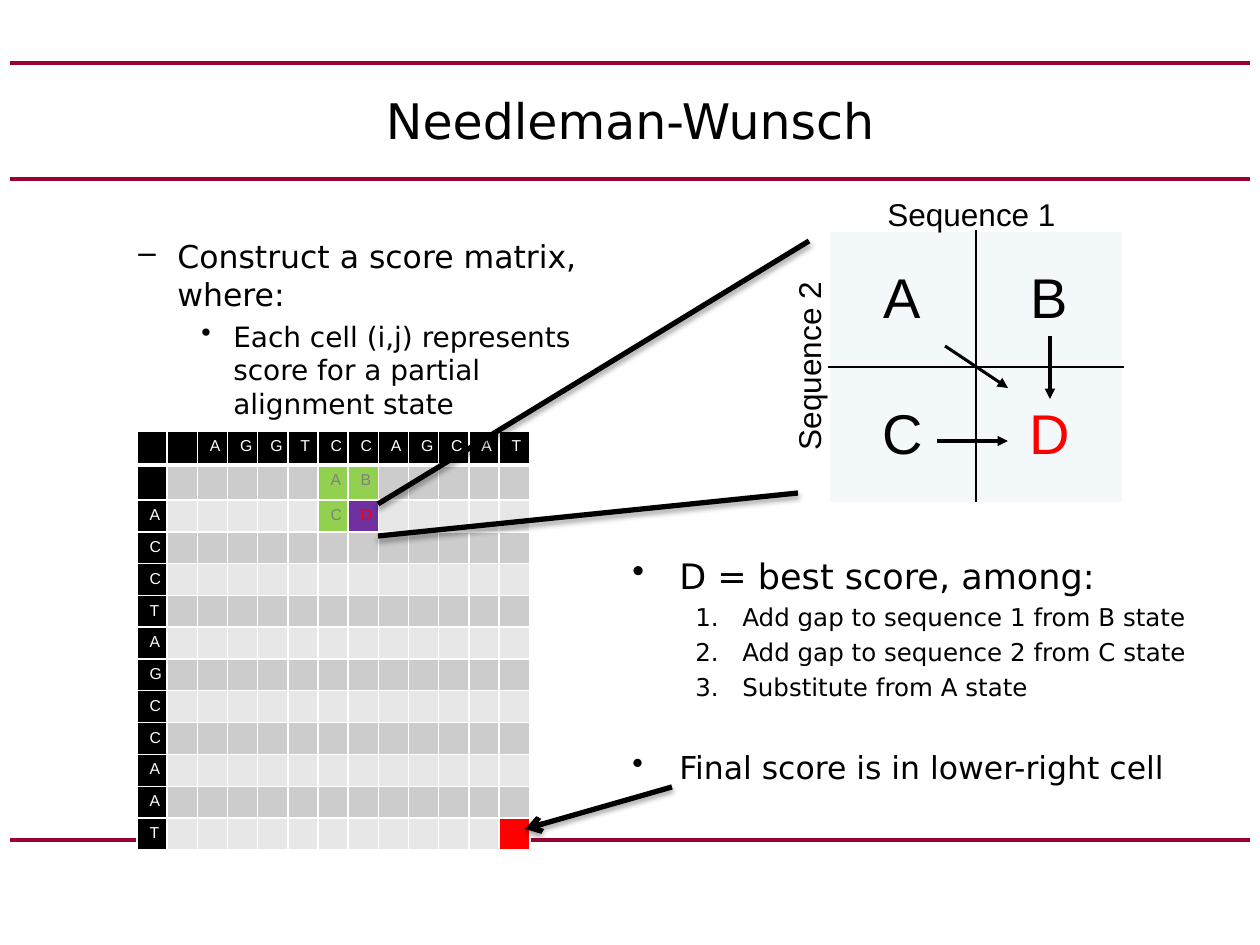
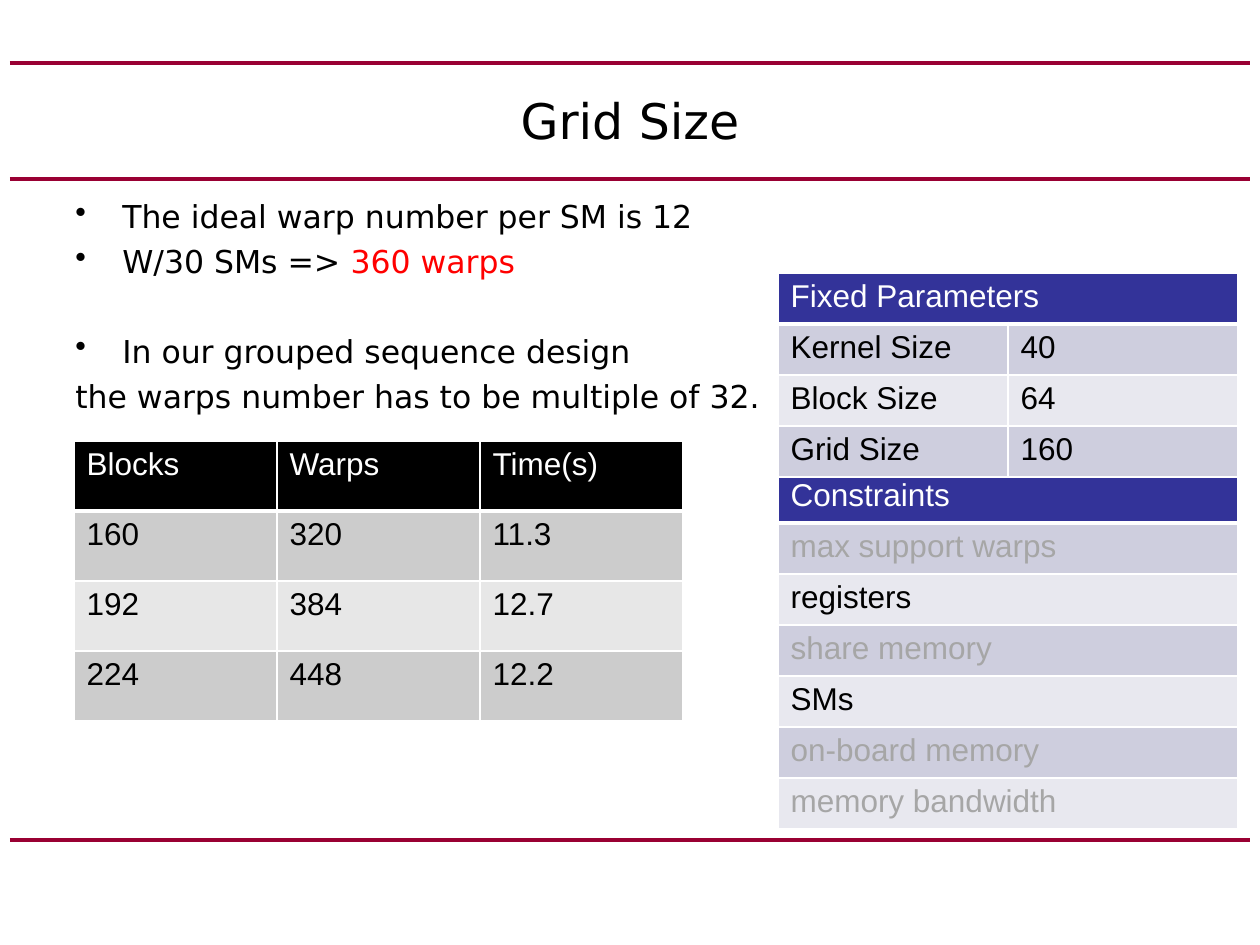
from lxml import etree
from pptx import Presentation
from pptx.dml.color import RGBColor
from pptx.enum.shapes import MSO_CONNECTOR
from pptx.enum.text import MSO_ANCHOR, PP_ALIGN
from pptx.oxml.ns import qn
from pptx.util import Pt

PX = 914400 / 126
STRAIGHT = MSO_CONNECTOR.STRAIGHT
LEFT, CENTER = PP_ALIGN.LEFT, PP_ALIGN.CENTER
TOP, MIDDLE = MSO_ANCHOR.TOP, MSO_ANCHOR.MIDDLE
SANS, ARIAL = "DejaVu Sans", "Arial"
HEX = {
    "black": "000000", "white": "FFFFFF", "rule": "990033", "red": "FF0000",
    "dark": "CCCCCC", "light": "E7E7E7", "green": "92D050", "purple": "7030A0",
    "gray": "808080", "faded": "A6A6A6", "mint": "F3F9FA",
    "navy": "333399", "lilac": "CECEDE", "pale": "E8E8EF",
}
GRAYS = ("dark", "light")
BLUES = ("lilac", "pale")


def emu(px):
    """Turn px into EMU."""
    return round(px * PX)


def rgb(name):
    """Look up a colour by name."""
    return RGBColor.from_string(HEX[name])


def node(parent, tag, **attrs):
    """Append a drawing element with the given attributes."""
    return etree.SubElement(parent, qn("a:" + tag), **attrs)


def write(para, text, size=18, color="black", font=SANS, align=None):
    """Add a run to a paragraph."""
    if align is not None:
        para.alignment = align
    run = para.add_run()
    run.text = text
    run.font.size = Pt(size)
    run.font.name = font
    run.font.bold = False
    run.font.color.rgb = rgb(color)


def textbox(slide, x, y, w, h, anchor=TOP):
    """Add an empty wrapping text box."""
    box = slide.shapes.add_textbox(*map(emu, (x, y, w, h)))
    box.text_frame.word_wrap = True
    box.text_frame.vertical_anchor = anchor
    return box


def label(slide, x, y, w, h, text, turn=0, anchor=TOP, **style):
    """Add a centred one-line label."""
    box = textbox(slide, x, y, w, h, anchor)
    box.rotation = turn
    write(box.text_frame.paragraphs[0], text, align=CENTER, **style)


def item(para, runs, mark=None, left=47, hang=47, size=18, before=4.2):
    """Fill one list paragraph with coloured runs."""
    props = para._p.get_or_add_pPr()
    props.set("marL", str(emu(left)))
    props.set("indent", str(-emu(hang)))
    if mark == "1.":
        node(props, "buAutoNum", type="arabicPeriod")
    elif mark:
        node(props, "buChar", char=mark)
    else:
        node(props, "buNone")
    para.space_before = Pt(before)
    for text, color in runs:
        write(para, text, size, color)


def bullets(slide, x, y, w, h, items):
    """Add a list from pairs of runs and options."""
    frame = textbox(slide, x, y, w, h).text_frame
    for i, (runs, opts) in enumerate(items):
        para = frame.add_paragraph() if i else frame.paragraphs[0]
        if isinstance(runs, str):
            runs = [(runs, "black")]
        item(para, runs, **opts)


def line(slide, start, end, color="black", width=3.0, head=None, tail=None,
         shadow=False):
    """Add a straight line with optional arrowheads and shadow."""
    link = slide.shapes.add_connector(STRAIGHT, *map(emu, start + end))
    link.line.color.rgb = rgb(color)
    link.line.width = Pt(width)
    props = link._element.spPr
    stroke = props.find(qn("a:ln"))
    for tag, kind in (("headEnd", head), ("tailEnd", tail)):
        if kind:
            node(stroke, tag, type=kind)
    effects = node(props, "effectLst")
    if shadow:
        cast = node(effects, "outerShdw", blurRad=str(Pt(3.1)),
                    dist=str(Pt(1.8)), dir="5400000", rotWithShape="0")
        node(node(cast, "srgbClr", val=HEX["black"]), "alpha", val="35000")


def border(cell, sides, color):
    """Draw cell borders from a mapping of side to width."""
    props = cell._tc.get_or_add_tcPr()
    for side in "LRTB":
        if side in sides:
            edge = node(props, "ln" + side, w=str(Pt(sides[side])))
            node(node(edge, "solidFill"), "srgbClr", val=HEX[color])


def walls(row, col, inner):
    """Choose the border widths of a cell."""
    if inner:
        across = {"L": 1} if col else {"R": 1}
        return across | ({"T": 1} if row else {"B": 1})
    return {"L": 1, "R": 1, "T": 1, "B": 1 if row else 3}


def grid(slide, x, y, cols, rows, cells, size=18, align=LEFT, anchor=TOP,
         inner=False):
    """Add a table of (text, fill, text colour) cells."""
    table = slide.shapes.add_table(
        len(rows), len(cols), *map(emu, (x, y, sum(cols), sum(rows)))).table
    table.first_row = table.horz_banding = False
    for col, width in zip(table.columns, cols):
        col.width = emu(width)
    for row, height in zip(table.rows, rows):
        row.height = emu(height)
    for r, entries in enumerate(cells):
        for c, (text, fill, color) in enumerate(entries):
            cell = table.cell(r, c)
            border(cell, walls(r, c, inner), "black" if inner else "white")
            cell.fill.solid()
            cell.fill.fore_color.rgb = rgb(fill)
            cell.vertical_anchor = anchor
            para = cell.text_frame.paragraphs[0]
            if text:
                write(para, text, size, color, ARIAL, align)
            else:
                node(para._p, "endParaRPr", sz=str(size * 100))
    return table


def banded(top, body, head, bands, faded=()):
    """Colour a heading row and alternating body rows."""
    cells = [[(text, head, "white") for text in top]]
    for i, texts in enumerate(body):
        cells.append([(text, bands[i % 2], "faded" if text in faded else "black")
                      for text in texts])
    return cells


def matrix():
    """Make the cells of the score matrix."""
    top, side = "AGGTCCAGCAT", "ACCTAGCCAAT"
    cells = [[(text, "black", "white") for text in ["", "", *top]]]
    for i, text in enumerate(["", *side]):
        blank = ("", GRAYS[i % 2], "black")
        cells.append([(text, "black", "white")] + [blank] * (len(top) + 1))
    cells[1][6:8] = [("A", "green", "gray"), ("B", "green", "gray")]
    cells[2][6:8] = [("C", "green", "gray"), ("D", "purple", "red")]
    cells[-1][-1] = ("", "red", "black")
    return cells


def page(deck, title):
    """Add a slide with its rules and title."""
    slide = deck.slides.add_slide(deck.slide_layouts[6])
    for y in (840, 179, 63):
        line(slide, (10, y), (1250, y), "rule", 2.25)
    label(slide, 63, 65, 1134, 110, title, anchor=MIDDLE, size=28)
    return slide


def scoring(deck):
    """Build the slide on the score matrix."""
    slide = page(deck, "Needleman-Wunsch")
    bullets(slide, 63, 231, 567, 598, [
        ("Construct a score matrix, where:",
         dict(mark="–", left=102, hang=39, before=0)),
        ("Each cell (i,j) represents score for a partial alignment state",
         dict(mark="•", left=158, hang=32, size=16, before=3.7)),
    ])
    quad = [[("A", "mint", "black"), ("B", "mint", "black")],
            [("C", "mint", "black"), ("D", "mint", "red")]]
    grid(slide, 829, 231, [147] * 2, [136] * 2, quad, 32, CENTER, MIDDLE, True)
    for start, end in (((1050, 336), (1050, 399)), ((937, 441), (1008, 441)),
                       ((945, 346), (1008, 388))):
        line(slide, start, end, width=1.75, tail="triangle")
    step = dict(mark="1.", left=110, size=14, before=3.3)
    bullets(slide, 620, 548, 596, 262, [
        ("D = best score, among:", dict(mark="•", size=20, before=0)),
        ("Add gap to sequence 1 from B state", step),
        ("Add gap to sequence 2 from C state", step),
        ("Substitute from A state", step),
        ("Final score is in lower-right cell", dict(mark="•", before=26.6)),
    ])
    label(slide, 861, 189, 221, 50, "Sequence 1", font=ARIAL)
    label(slide, 698, 341, 221, 50, "Sequence 2", turn=270, font=ARIAL)
    grid(slide, 137, 431, [30] * 12 + [31], [34, 35] + [32, 31] * 5 + [32],
         matrix(), 9)
    line(slide, (378, 504), (809, 241), shadow=True)
    line(slide, (378, 536), (798, 493), shadow=True)
    line(slide, (525, 829), (672, 787), head="arrow", shadow=True)


def sizing(deck):
    """Build the slide on the grid size."""
    slide = page(deck, "Grid Size")
    bullets(slide, 63, 191, 1134, 638, [
        ("The ideal warp number per SM is 12", dict(mark="•", before=0)),
        ([("W/30 SMs => ", "black"), ("360 warps", "red")], dict(mark="•")),
        ("In our grouped sequence design", dict(mark="•", before=29.4)),
        ("the warps number has to be multiple of 32.", {}),
    ])
    times = [("160", "320", "11.3"), ("192", "384", "12.7"),
             ("224", "448", "12.2")]
    grid(slide, 74, 441, [203] * 3, [70] * 4,
         banded(("Blocks", "Warps", "Time(s)"), times, "black", GRAYS))
    limits = ["max support warps", "registers", "share memory", "SMs",
              "on-board memory", "memory bandwidth"]
    faded = [text for text in limits if text not in ("registers", "SMs")]
    grid(slide, 778, 472, [460], [51] * 7,
         banded(["Constraints"], [[text] for text in limits], "navy", BLUES,
                faded))
    fixed = [("Kernel Size", "40"), ("Block Size", "64"), ("Grid Size", "160")]
    table = grid(slide, 778, 273, [230] * 2, [51] * 4,
                 banded(("Fixed Parameters", ""), fixed, "navy", BLUES))
    table.cell(0, 0).merge(table.cell(0, 1))


def main():
    """Build and save the deck."""
    deck = Presentation()
    deck.slide_width, deck.slide_height = emu(1260), emu(945)
    scoring(deck)
    sizing(deck)
    deck.save("out.pptx")


if __name__ == "__main__":
    main()
